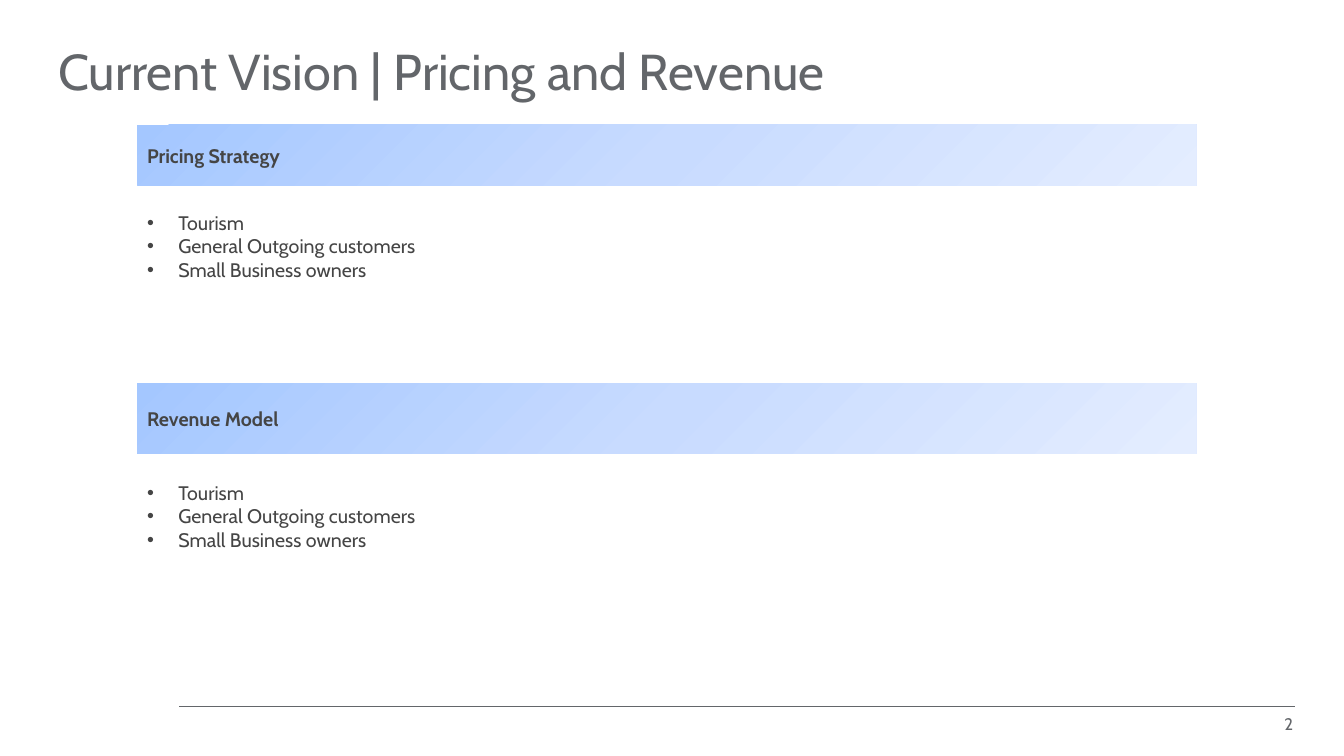
from copy import deepcopy

from lxml import etree
from pptx import Presentation
from pptx import util as u
from pptx.dml.color import RGBColor
from pptx.enum import shapes, text
from pptx.oxml.ns import qn

# Content
TITLE = "Current Vision | Pricing and Revenue"
PAGE_NUMBER = "2"
CUSTOMERS = ["Tourism", "General Outgoing customers", "Small Business owners"]
# heading, bullets, banner top, banner height, list top, list height
SECTIONS = [
    ("Pricing Strategy", CUSTOMERS, 1.24, 0.6, 2.04, 1.76),
    ("Revenue Model", CUSTOMERS, 3.8, 0.7, 4.72, 2.03),
]

# Layout and formats
WIDTH, HEIGHT = 13.33, 7.5
COLUMN_WIDTH = 10.51
COLUMN_LEFT = 1.36
BULLET_INDENT = 0.31
GREY, DARK = "63666A", "454545"
BANNER_STOPS = [(0, "A4C7FF"), (0.5, "C8DBFF"), (1, "E4EDFF")]
TITLE_FONT = {"size": 36, "color": GREY}
HEADING_FONT = {"size": 14, "color": DARK, "bold": True}
LIST_FONT = {"size": 14, "color": DARK}
NUMBER_FONT = {"size": 12, "color": GREY}


def rgb(value):
    return RGBColor.from_string(value)


def write(shape, lines, font, anchor=text.MSO_ANCHOR.TOP, bullets=False):
    frame = shape.text_frame
    frame.word_wrap = True
    frame.vertical_anchor = anchor
    frame.text = "\n".join(lines)
    formats = {"name": "Cabin", "size": u.Pt(font["size"]),
               "bold": font.get("bold", False)}
    for paragraph in frame.paragraphs:
        paragraph.alignment = text.PP_ALIGN.LEFT
        for run in paragraph.runs:
            for name, value in formats.items():
                setattr(run.font, name, value)
            run.font.color.rgb = rgb(font["color"])
        if bullets:
            properties = paragraph._p.get_or_add_pPr()
            properties.set("marL", str(u.Inches(BULLET_INDENT)))
            properties.set("indent", str(-u.Inches(BULLET_INDENT)))
            etree.SubElement(properties, qn("a:buFont"), typeface="Arial")
            etree.SubElement(properties, qn("a:buChar"), char="•")
    return frame


def add_text(slide, box, lines, font, **options):
    shape = slide.shapes.add_textbox(*map(u.Inches, box))
    return write(shape, lines, font, **options)


def add_banner(slide, box, heading):
    shape = slide.shapes.add_shape(shapes.MSO_SHAPE.RECTANGLE, *map(u.Inches, box))
    shape.shadow.inherit = False
    shape.line.fill.background()
    shape.fill.gradient()
    shape.fill.gradient_angle = 315
    # The default gradient has two stops; the banner needs a third
    stop_list = next(shape._element.spPr.iter(qn("a:gsLst")))
    stop_list.append(deepcopy(stop_list[-1]))
    for stop, (position, color) in zip(shape.fill.gradient_stops, BANNER_STOPS):
        stop.position = position
        stop.color.rgb = rgb(color)
    write(shape, [heading], HEADING_FONT, anchor=text.MSO_ANCHOR.MIDDLE)


def main():
    presentation = Presentation()
    presentation.slide_width = u.Inches(WIDTH)
    presentation.slide_height = u.Inches(HEIGHT)
    slide = presentation.slides.add_slide(presentation.slide_layouts[6])

    # Footer rule and page number
    rule = slide.shapes.add_connector(
        shapes.MSO_CONNECTOR.STRAIGHT,
        *map(u.Inches, (1.78, 7.01, 12.84, 7.01)))
    rule.line.color.rgb = rgb(GREY)
    rule.line.width = u.Pt(0.25)
    etree.SubElement(rule._element.spPr, qn("a:effectLst"))
    add_text(slide, (12.64, 7.03, 0.36, 0.2), [PAGE_NUMBER], NUMBER_FONT)

    # Title
    frame = add_text(slide, (0.58, 0.24, 11.04, 1), [TITLE], TITLE_FONT,
                     anchor=text.MSO_ANCHOR.MIDDLE)
    for side in ("left", "top", "right", "bottom"):
        setattr(frame, f"margin_{side}", 0)
    frame.paragraphs[0].line_spacing = 0.9

    # Sections: a banner above a bulleted list
    for heading, bullets, top, height, list_top, list_height in SECTIONS:
        add_banner(slide, (COLUMN_LEFT, top, COLUMN_WIDTH, height), heading)
        add_text(slide, (COLUMN_LEFT, list_top, COLUMN_WIDTH, list_height),
                 bullets, LIST_FONT, bullets=True)

    presentation.save("out.pptx")


if __name__ == "__main__":
    main()
